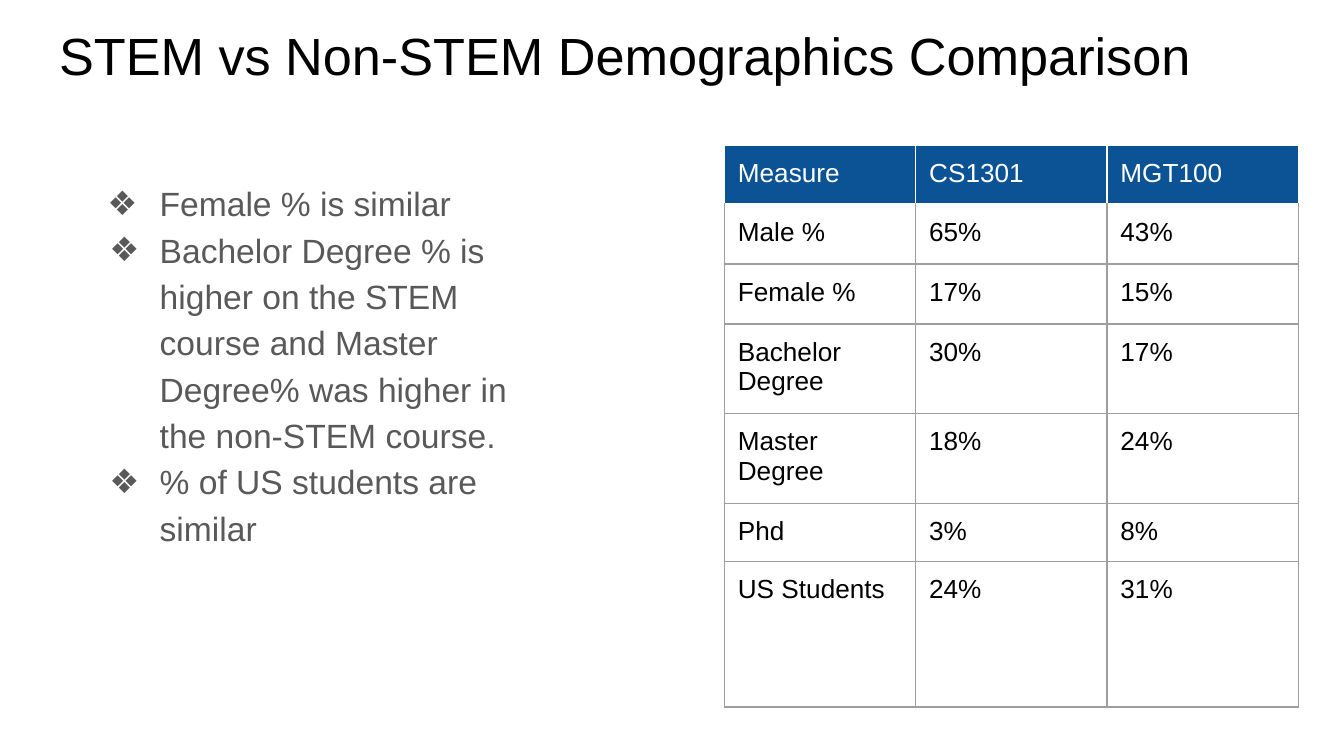
from dataclasses import dataclass

from lxml import etree
from pptx import Presentation
from pptx import util as u
from pptx.dml.color import RGBColor
from pptx.enum import text
from pptx.oxml import ns


@dataclass(frozen=True)
class Theme:
    font: str = "Arial"
    black: str = "000000"
    white: str = "FFFFFF"
    gray: str = "595959"
    rule: str = "9E9E9E"
    header: str = "0B5394"
    title_size: float = 28
    body_size: float = 18
    table_size: float = 14
    rule_width: float = 0.75
    inset: float = 7.2


@dataclass(frozen=True)
class Area:
    left: float
    top: float
    width: float
    height: float

    def lengths(self) -> list:
        return [u.Pt(v) for v in (self.left, self.top, self.width, self.height)]


@dataclass(frozen=True)
class Row:
    height: float
    cells: tuple[str, str, str]


THEME = Theme()
TITLE_AREA = Area(24.5, 5.2, 671, 45.4)
FINDINGS_AREA = Area(42.5, 87.8, 263.5, 269.3)
TABLE_LEFT, TABLE_TOP, COLUMN_WIDTH = 388.1, 78, 102.5

FINDINGS = (
    "Female % is similar",
    "Bachelor Degree % is higher on the STEM course and Master Degree% was higher "
    "in the non-STEM course.",
    "% of US students are similar",
)
ROWS = (
    Row(30.8, ("Measure", "CS1301", "MGT100")),
    Row(32.2, ("Male %", "65%", "43%")),
    Row(32.2, ("Female %", "17%", "15%")),
    Row(46, ("Bachelor Degree", "30%", "17%")),
    Row(46, ("Master Degree", "18%", "24%")),
    Row(30.5, ("Phd", "3%", "8%")),
    Row(77.8, ("US Students", "24%", "31%")),
)


def add_run(para, words: str, size: float, color: str) -> None:
    span = para.add_run()
    span.text = words
    span.font.name = THEME.font
    span.font.size = u.Pt(size)
    span.font.color.rgb = RGBColor.from_string(color)


def set_insets(holder) -> None:
    """Apply the shared margin to a text frame or a table cell."""
    for side in ("left", "top", "right", "bottom"):
        setattr(holder, f"margin_{side}", u.Pt(THEME.inset))


def add_child(parent, tag: str, **attributes: str):
    return etree.SubElement(parent, ns.qn(tag), attributes)


def set_bullet(para, symbol: str, margin: float, hanging: float, color: str) -> None:
    props = para._p.get_or_add_pPr()
    props.set("marL", str(u.Pt(margin)))
    props.set("indent", str(-u.Pt(hanging)))
    add_child(add_child(props, "a:buClr"), "a:srgbClr", val=color)
    add_child(props, "a:buFont", typeface=THEME.font)
    add_child(props, "a:buChar", char=symbol)


def set_borders(cell, row_index: int) -> None:
    """Draw white lines around header cells and gray lines elsewhere."""
    props = cell._tc.get_or_add_tcPr()
    for position, side in enumerate("LRTB"):
        is_header_edge = row_index == 0 or (row_index == 1 and side == "T")
        color = THEME.white if is_header_edge else THEME.rule
        line = etree.Element(ns.qn(f"a:ln{side}"), w=str(u.Pt(THEME.rule_width)))
        add_child(add_child(line, "a:solidFill"), "a:srgbClr", val=color)
        props.insert(position, line)


def add_title(page, words: str) -> None:
    title = page.shapes.title
    title.left, title.top, title.width, title.height = TITLE_AREA.lengths()
    frame = title.text_frame
    frame.auto_size = text.MSO_AUTO_SIZE.NONE
    frame.vertical_anchor = text.MSO_ANCHOR.TOP
    set_insets(frame)
    para = frame.paragraphs[0]
    para.alignment = text.PP_ALIGN.LEFT
    add_run(para, words, THEME.title_size, THEME.black)


def add_findings(page) -> None:
    frame = page.shapes.add_textbox(*FINDINGS_AREA.lengths()).text_frame
    frame.word_wrap = True
    set_insets(frame)
    for index, finding in enumerate(FINDINGS):
        para = frame.add_paragraph() if index else frame.paragraphs[0]
        set_bullet(para, "❖", 36, 27 if index else 28, THEME.gray)
        para.line_spacing = 1.15
        add_run(para, finding, THEME.body_size, THEME.gray)


def add_demographics(page) -> None:
    columns = len(ROWS[0].cells)
    area = Area(TABLE_LEFT, TABLE_TOP, COLUMN_WIDTH * columns, sum(r.height for r in ROWS))
    table = page.shapes.add_table(len(ROWS), columns, *area.lengths()).table
    table.first_row = table.horz_banding = False
    for column in table.columns:
        column.width = u.Pt(COLUMN_WIDTH)
    for row_index, row in enumerate(ROWS):
        table.rows[row_index].height = u.Pt(row.height)
        for column_index, words in enumerate(row.cells):
            cell = table.cell(row_index, column_index)
            set_insets(cell)
            if row_index == 0:
                cell.fill.solid()
                cell.fill.fore_color.rgb = RGBColor.from_string(THEME.header)
            else:
                cell.fill.background()
            set_borders(cell, row_index)
            color = THEME.black if row_index else THEME.white
            add_run(cell.text_frame.paragraphs[0], words, THEME.table_size, color)


def main() -> None:
    deck = Presentation()
    deck.slide_width, deck.slide_height = u.Pt(720), u.Pt(405)
    page = deck.slides.add_slide(deck.slide_layouts.get_by_name("Title Only"))
    add_title(page, "STEM vs Non-STEM Demographics Comparison")
    add_findings(page)
    add_demographics(page)
    deck.save("out.pptx")


if __name__ == "__main__":
    main()
